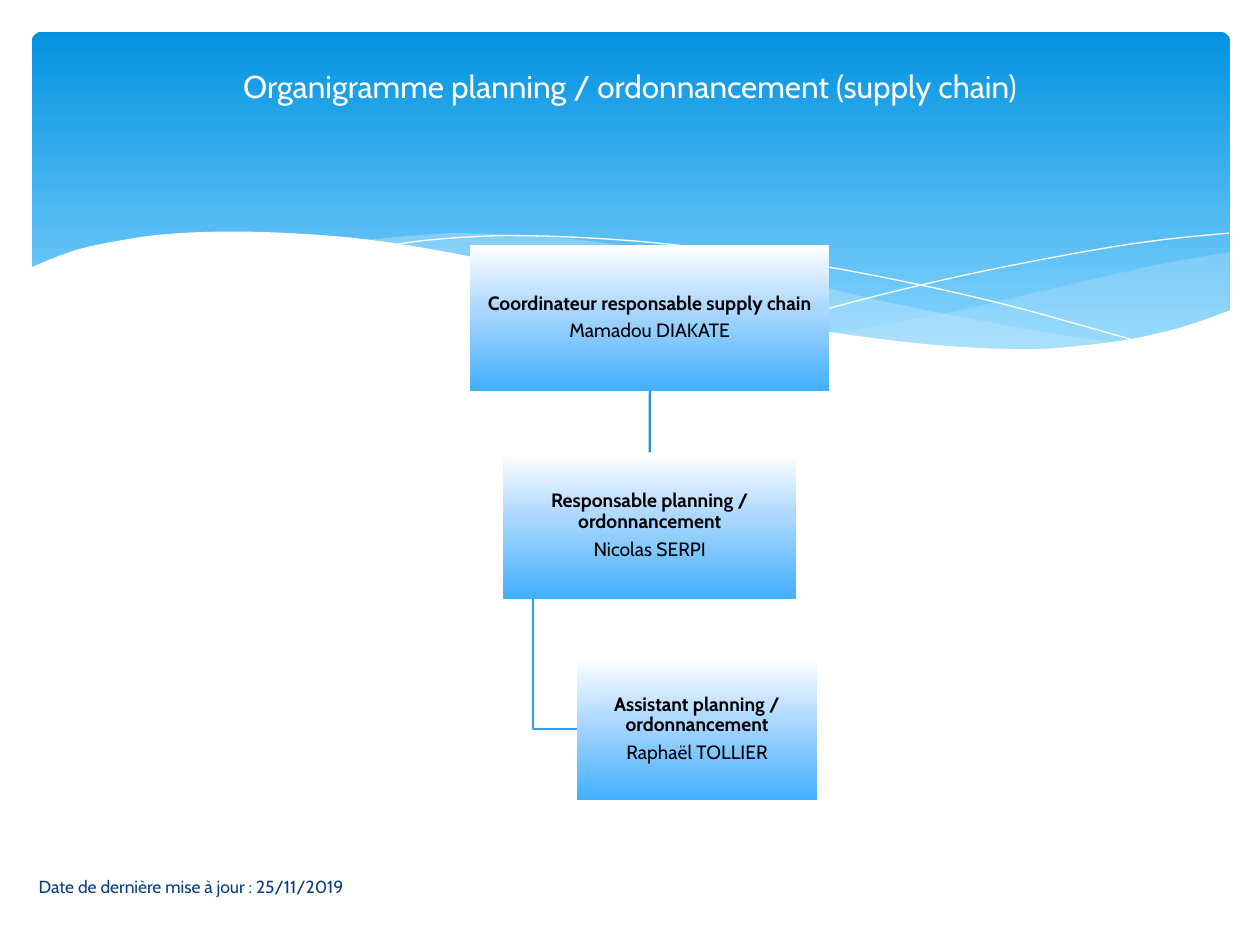
import lxml.etree
import pptx
import pptx.dml.color
import pptx.enum.shapes
import pptx.enum.text
import pptx.oxml.ns
import pptx.util

Cm = pptx.util.Cm
Pt = pptx.util.Pt
qn = pptx.oxml.ns.qn
ALIGN = pptx.enum.text.PP_ALIGN
MIDDLE = pptx.enum.text.MSO_ANCHOR.MIDDLE
SHAPES = pptx.enum.shapes.MSO_SHAPE

FONT = "Cabin"
PANEL_STOPS = [(0, "0293E0"), (90, "83D3FE")]
CARD_STOPS = [(0, "FFFFFF"), (44, "ACD7FF"), (100, "42B0FD")]
CENTRE = 13.1  # shared axis of the two upper cards, in cm
CARD_HEIGHT = 2.95

# Curves of the banner, in cm; each one is smoothed between its points
RIGHT_WAVE = [
    [(24.79, 5.08), (23.75, 5.26), (22.63, 5.49), (21.13, 5.84),
     (19.13, 6.3), (16.79, 6.73)],
    [(16.79, 6.73), (17.91, 6.88), (19.23, 7.01), (20.68, 7.06),
     (21.92, 6.99), (22.99, 6.83), (23.93, 6.58), (24.79, 6.27)],
]
CENTRAL_WAVE = [
    [(22.68, 6.93), (21.26, 6.73), (19.69, 6.45), (17.93, 6.1),
     (15.98, 5.64), (14.45, 5.28), (13.06, 5.03), (11.81, 4.85),
     (10.67, 4.75), (9.17, 4.7), (8.33, 4.75), (7.26, 4.85)],
    [(7.26, 4.85), (8.69, 5.05), (10.26, 5.36), (11.4, 5.64),
     (13.46, 6.1), (15.27, 6.48), (16.89, 6.76), (18.34, 6.96),
     (19.63, 7.04), (20.78, 7.06), (21.77, 7.04), (22.68, 6.93)],
]
FALLING_LINE = [(7.85, 4.95), (8.74, 4.83), (10.19, 4.75), (11.91, 4.8),
                (13.54, 4.93), (15.44, 5.18), (17.65, 5.56), (20.19, 6.12),
                (23.04, 6.91)]
RISING_LINE = [(15.57, 6.53), (17.65, 5.97), (19.71, 5.49), (22, 5.05),
               (23.47, 4.83), (24.77, 4.7)]
WHITE_WAVE = [
    [(24.82, 6.25), (23.88, 6.58), (22.83, 6.83), (21.59, 6.99),
     (20.55, 7.04), (18.9, 6.96), (16.97, 6.73), (15.32, 6.45),
     (13.44, 6.07), (11.35, 5.59), (9.27, 5.13), (7.42, 4.83),
     (5.84, 4.7), (4.5, 4.67), (3.35, 4.72), (2.41, 4.85),
     (1.5, 5.05), (0.58, 5.41)],
    [(0.58, 8.36), (24.82, 8.36)],
]


def colour(hex_string):
    return pptx.dml.color.RGBColor.from_string(hex_string)


def smooth(points, steps=4):
    """Catmull-Rom curve through the points."""
    padded = [points[0], *points, points[-1]]
    curve = [points[0]]
    for a, b, c, d in zip(padded, padded[1:], padded[2:], padded[3:]):
        for step in range(1, steps + 1):
            t = step / steps
            curve.append(tuple(
                (2 * q + (r - p) * t + (2 * p - 5 * q + 4 * r - s) * t ** 2
                 + (3 * q - p - 3 * r + s) * t ** 3) / 2
                for p, q, r, s in zip(a, b, c, d)))
    return curve


def add_outline(slide, points, closed):
    corners = [(Cm(x), Cm(y)) for x, y in points]
    builder = slide.shapes.build_freeform(*corners[0])
    builder.add_line_segments(corners[1:], close=closed)
    outline = builder.convert_to_shape()
    outline.shadow.inherit = False
    return outline


def add_wave(slide, curves, fill, opacity=100):
    wave = add_outline(slide, sum(map(smooth, curves), []), True)
    wave.line.fill.background()
    wave.fill.solid()
    wave.fill.fore_color.rgb = colour(fill)
    if opacity < 100:
        tint = wave.fill._xPr.find(".//" + qn("a:srgbClr"))
        lxml.etree.SubElement(tint, qn("a:alpha"), val=str(opacity * 1000))


def add_path(slide, points, stroke, width):
    track = add_outline(slide, points, False)
    track.fill.background()
    track.line.color.rgb = colour(stroke)
    track.line.width = Pt(width)


def add_gradient_box(slide, kind, box, stops):
    panel = slide.shapes.add_shape(kind, *map(Cm, box))
    panel.shadow.inherit = False
    panel.line.fill.background()
    panel.fill.gradient()
    panel.fill.gradient_angle = 270  # top to bottom
    stop_list = panel.fill._xPr.find(".//" + qn("a:gsLst"))
    stop_list.clear()
    for position, shade in stops:
        stop = lxml.etree.SubElement(stop_list, qn("a:gs"),
                                     pos=str(position * 1000))
        lxml.etree.SubElement(stop, qn("a:srgbClr"), val=shade)
    return panel


def add_text(paragraph, text, size, shade, bold=False):
    run = paragraph.add_run()
    run.text = text
    run.font.name = FONT
    run.font.size = Pt(size)
    run.font.bold = bold
    run.font.color.rgb = colour(shade)


def add_card(slide, box, role, person):
    card = add_gradient_box(slide, SHAPES.RECTANGLE, box, CARD_STOPS)
    frame = card.text_frame
    frame.word_wrap = True
    frame.vertical_anchor = MIDDLE
    frame.margin_left = frame.margin_right = Cm(0.02)
    frame.margin_top = frame.margin_bottom = Cm(0.02)
    for text, bold in ((role, True), (person, False)):
        paragraph = frame.paragraphs[0] if bold else frame.add_paragraph()
        paragraph.alignment = ALIGN.CENTER
        paragraph.line_spacing = 0.9
        paragraph.space_after = Pt(4)
        add_text(paragraph, text, 11, "000000", bold)
    return card


def add_link(slide, upper, lower):
    link = slide.shapes.add_connector(
        pptx.enum.shapes.MSO_CONNECTOR.STRAIGHT, 0, 0, 0, 0)
    link.begin_connect(upper, 2)
    link.end_connect(lower, 0)
    link.line.color.rgb = colour("2792CB")
    link.line.width = Pt(1.25)
    lxml.etree.SubElement(link._element.spPr, qn("a:effectLst"))


def add_banner(slide):
    panel = add_gradient_box(slide, SHAPES.ROUNDED_RECTANGLE,
                             (0.64, 0.64, 24.16, 6.86), PANEL_STOPS)
    panel.adjustments[0] = 0.03
    add_wave(slide, RIGHT_WAVE, "C6E7FC", 29)
    add_wave(slide, CENTRAL_WAVE, "C6E7FC", 40)
    for line in (FALLING_LINE, RISING_LINE):
        add_path(slide, smooth(line), "FFFFFF", 0)
    add_wave(slide, WHITE_WAVE, "FFFFFF")


def add_organisation(slide):
    coordinator, planner = [
        add_card(slide, (CENTRE - width / 2, top, width, CARD_HEIGHT),
                 role, person)
        for width, top, role, person in (
            (7.24, 4.93, "Coordinateur responsable supply chain",
             "Mamadou DIAKATE"),
            (5.9, 9.12, "Responsable planning / ordonnancement",
             "Nicolas SERPI"))]
    add_link(slide, coordinator, planner)
    add_card(slide, (11.63, 13.28, 4.85, 2.84),
             "Assistant planning / ordonnancement", "Raphaël TOLLIER")
    add_path(slide, [(10.74, 12.07), (10.74, 14.7), (11.63, 14.7)],
             "2CA5E6", 1.25)


def set_title(slide, text):
    title = slide.shapes.title
    title.left, title.top, title.width, title.height = map(
        Cm, (1.27, 0.94, 22.86, 1.57))
    title.text_frame.vertical_anchor = MIDDLE
    heading = title.text_frame.paragraphs[0]
    heading.alignment = ALIGN.CENTER
    add_text(heading, text, 18, "FFFFFF")
    # Bring the title in front of the banner
    slide.shapes._spTree.append(title._element)


def add_update_date(slide, text):
    update = slide.shapes.add_textbox(*map(Cm, (0.53, 17.37, 10.52, 1.02)))
    update.text_frame.word_wrap = True
    update.text_frame.vertical_anchor = MIDDLE
    add_text(update.text_frame.paragraphs[0], text, 10, "073E87")


def main():
    deck = pptx.Presentation()
    deck.slide_width, deck.slide_height = Cm(25.4), Cm(19.05)
    slide = deck.slides.add_slide(deck.slide_layouts[5])
    add_banner(slide)
    add_organisation(slide)
    set_title(slide, "Organigramme planning / ordonnancement (supply chain)")
    add_update_date(slide, "Date de dernière mise à jour : 25/11/2019")
    deck.save("out.pptx")


if __name__ == "__main__":
    main()
